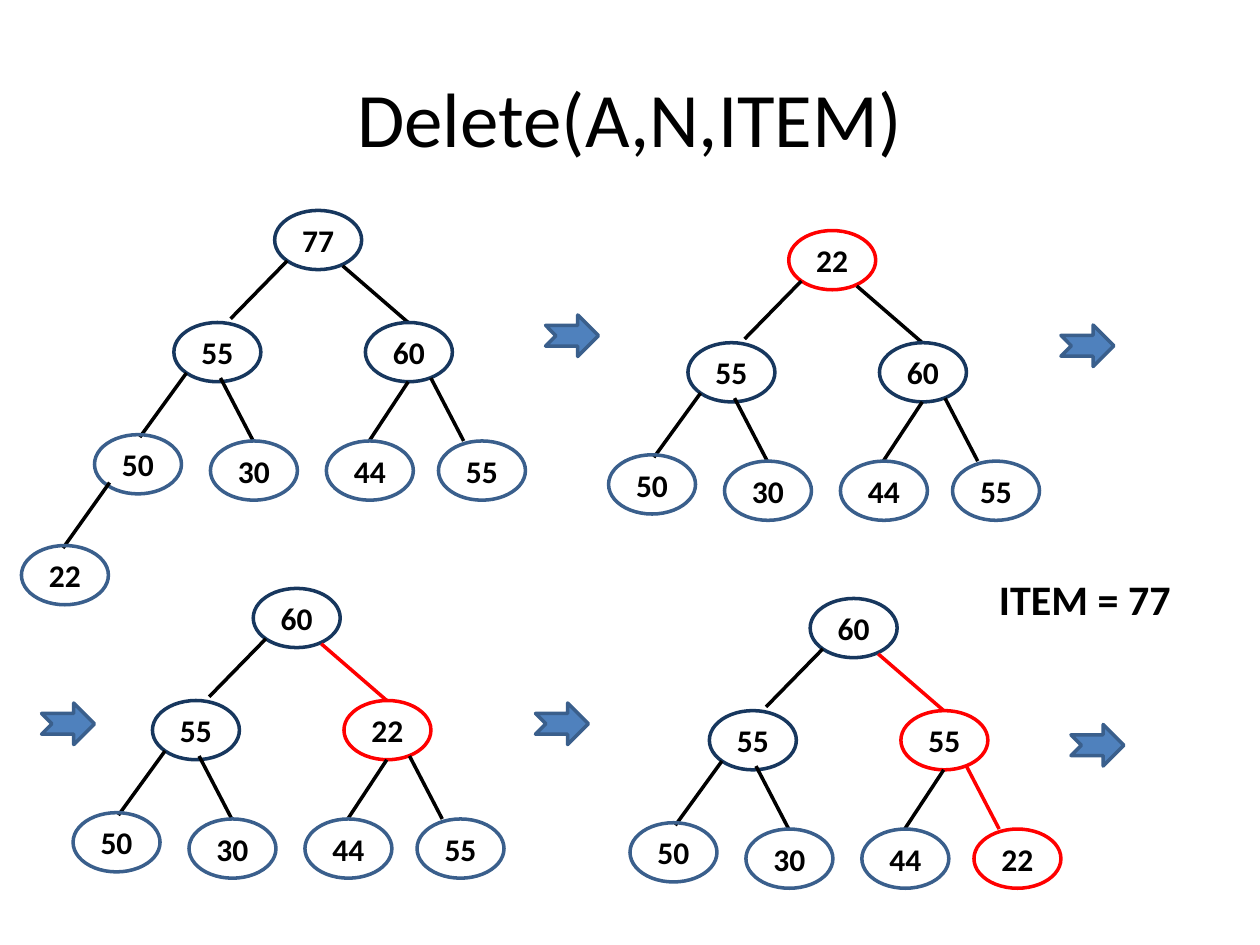
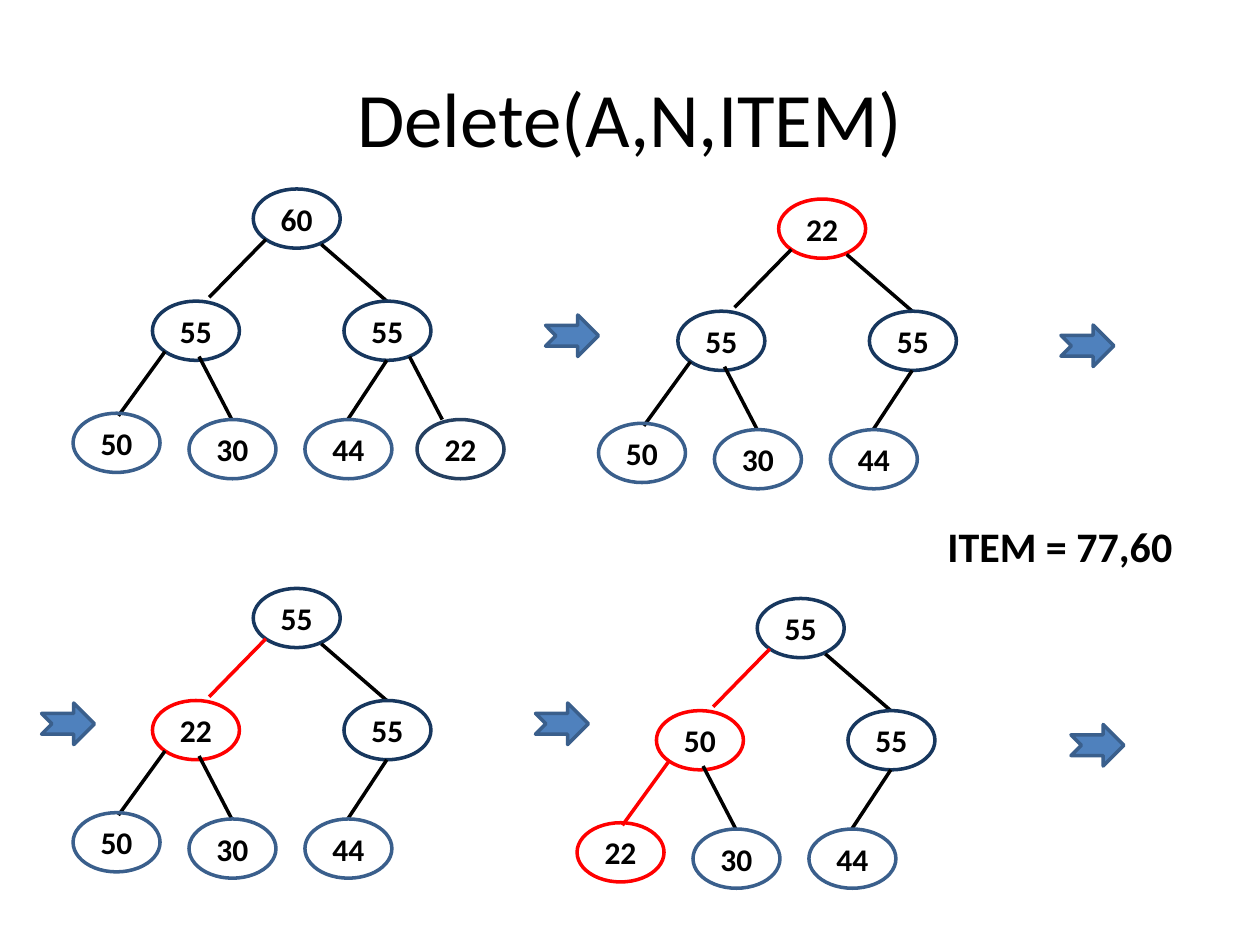
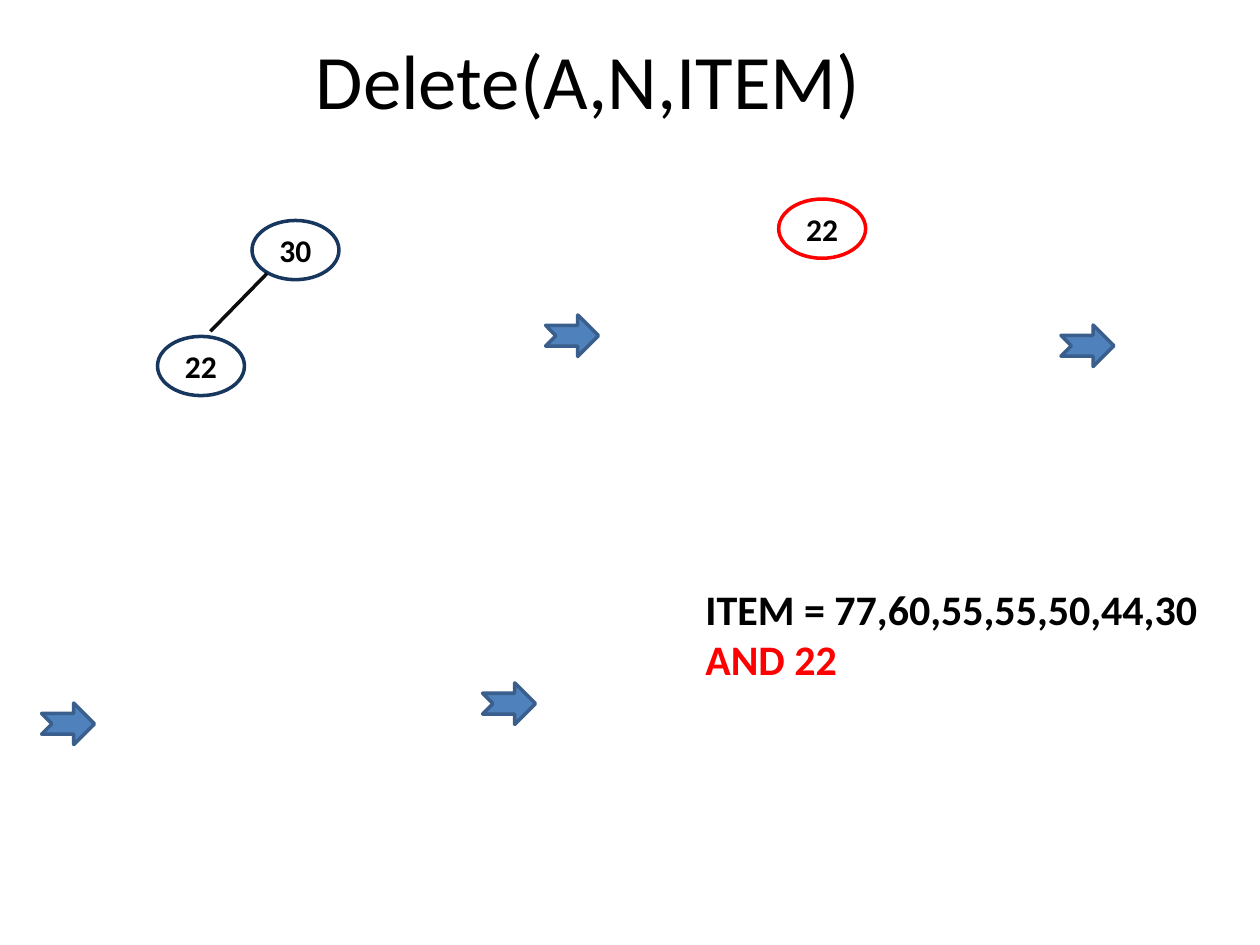
from lxml import etree
from pptx import Presentation
from pptx.dml.color import RGBColor
from pptx.enum.shapes import MSO_CONNECTOR as Link, MSO_SHAPE as Preset
from pptx.enum.text import MSO_ANCHOR as Anchor, PP_ALIGN as Align
from pptx.oxml.ns import qn
from pptx.util import Emu, Pt

# Shared style
PX = 9144  # 100 px to the inch
BLACK = RGBColor(0x00, 0x00, 0x00)
SOFT_BLACK = RGBColor(0x0D, 0x0D, 0x0D)
RED = RGBColor(0xFF, 0x00, 0x00)
NAVY = RGBColor(0x17, 0x37, 0x5E)
DARK_BLUE = RGBColor(0x25, 0x40, 0x61)
STEEL = RGBColor(0x3A, 0x5F, 0x8C)
BLUE = RGBColor(0x4F, 0x81, 0xBD)
FONT = "Calibri"
NODE_SIZE = (69, 47)
ARROW_SIZE = (42, 33)

# Heap slots, relative to the root's corner: node corner, then edge ends
NODE_AT = {1: (0, 0), 2: (-80, 89), 3: (72, 89), 4: (-143, 178),
           5: (-51, 183), 6: (41, 183), 7: (130, 183), 8: (-201, 266)}
EDGE_AT = {2: (-35, 86, 10, 40), 3: (54, 44, 106, 89),
           4: (-107, 180, -70, 129), 5: (-43, 133, -17, 183),
           6: (75, 183, 106, 136), 7: (124, 133, 150, 183),
           8: (-168, 268, -131, 216)}


def px(*lengths):
    return [Emu(length * PX) for length in lengths]


def write(shape, text, size=18, bold=True, colors=(BLACK,),
          align=Align.CENTER, anchor=Anchor.MIDDLE):
    """Write one paragraph per line of text, each in its own colour."""
    frame = shape.text_frame
    frame.word_wrap = True
    frame.vertical_anchor = anchor
    frame.text = text
    for paragraph, color in zip(frame.paragraphs, colors):
        paragraph.alignment = align
        font = paragraph.runs[0].font
        font.name, font.size, font.bold = FONT, Pt(size), bold
        font.color.rgb = color


class HeapDeck:
    def __init__(self):
        self.deck = Presentation()
        self.deck.slide_width, self.deck.slide_height = px(1000, 750)
        self.shapes = None

    def new_slide(self, title_left=50, title_top=30):
        slide = self.deck.slides.add_slide(self.deck.slide_layouts[6])
        self.shapes = slide.shapes
        title = self.shapes.add_textbox(*px(title_left, title_top, 900, 125))
        write(title, "Delete(A,N,ITEM)", size=44, bold=False)

    def caption(self, text, *box, colors=(BLACK,)):
        write(self.shapes.add_textbox(*px(*box)), text, size=24,
              colors=colors, align=Align.LEFT, anchor=Anchor.TOP)

    def outlined(self, shapes, preset, corner, size, line):
        shape = shapes.add_shape(preset, *px(*corner, *size))
        shape.shadow.inherit = False
        shape.line.color.rgb = line
        shape.line.width = Pt(2)
        return shape

    def arrows(self, *corners):
        for corner in corners:
            arrow = self.outlined(self.shapes, Preset.NOTCHED_RIGHT_ARROW,
                                  corner, ARROW_SIZE, STEEL)
            arrow.fill.solid()
            arrow.fill.fore_color.rgb = BLUE

    def node(self, shapes, key, corner, line):
        oval = self.outlined(shapes, Preset.OVAL, corner, NODE_SIZE, line)
        oval.fill.background()
        frame = oval.text_frame
        frame.margin_left = frame.margin_right = 0
        write(oval, str(key))

    def edge(self, shapes, ends, color):
        edge = shapes.add_connector(Link.STRAIGHT, *px(*ends))
        edge.line.color.rgb = color
        edge.line.width = Pt(2)
        etree.SubElement(edge._element.spPr, qn("a:effectLst"))

    def heap(self, left, top, keys, moved=(), dark=()):
        """Draw keys in heap order; moved slots and the edges to them are red."""
        shapes = self.shapes.add_group_shape().shapes
        for slot, key in enumerate(keys, start=1):
            if slot in EDGE_AT:
                x1, y1, x2, y2 = EDGE_AT[slot]
                self.edge(shapes, (left + x1, top + y1, left + x2, top + y2),
                          RED if slot in moved else BLACK)
            if slot in moved:
                line = RED
            elif slot in dark:
                line = DARK_BLUE
            else:
                line = NAVY if slot <= 3 else STEEL
            dx, dy = NODE_AT[slot]
            self.node(shapes, key, (left + dx, top + dy), line)


def main():
    deck = HeapDeck()
    upper_arrows = [(433, 250), (842, 258)]
    lower_arrows = [(425, 558), (850, 575)]
    first_lower = (33, 558)

    # Delete 77
    deck.new_slide()
    deck.heap(218, 167, [77, 55, 60, 50, 30, 44, 55, 22])
    deck.heap(626, 183, [22, 55, 60, 50, 30, 44, 55], moved={1})
    deck.caption("ITEM = 77", 783, 450, 192, 50)
    deck.heap(201, 467, [60, 55, 22, 50, 30, 44, 55], moved={3})
    deck.heap(643, 475, [60, 55, 55, 50, 30, 44, 22], moved={3, 7})
    deck.arrows(*upper_arrows, *lower_arrows, first_lower)

    # Delete 60
    deck.new_slide()
    deck.caption("ITEM = 77,60", 742, 408, 242, 50)
    deck.heap(201, 467, [55, 22, 55, 50, 30, 44], moved={2})
    deck.heap(201, 150, [60, 55, 55, 50, 30, 44, 22], dark={7})
    deck.arrows(*upper_arrows, *lower_arrows, first_lower)
    deck.heap(618, 158, [22, 55, 55, 50, 30, 44], moved={1})
    deck.heap(601, 475, [55, 50, 55, 22, 30, 44], moved={2, 4})

    # Delete the last keys
    deck.new_slide(title_left=17, title_top=0)
    deck.caption("ITEM = 77,60,55,55,50,44,30\nAND 22", 550, 458, 425, 91,
                 colors=(BLACK, RED))
    deck.arrows(*upper_arrows, (383, 542), first_lower)
    deck.node(deck.shapes, 22, (618, 158), RED)
    last_pair = deck.shapes.add_group_shape().shapes
    deck.node(last_pair, 22, (125, 267), NAVY)
    deck.node(last_pair, 30, (200, 175), NAVY)
    deck.edge(last_pair, (167, 263, 212, 217), SOFT_BLACK)

    deck.deck.save("out.pptx")


if __name__ == "__main__":
    main()
